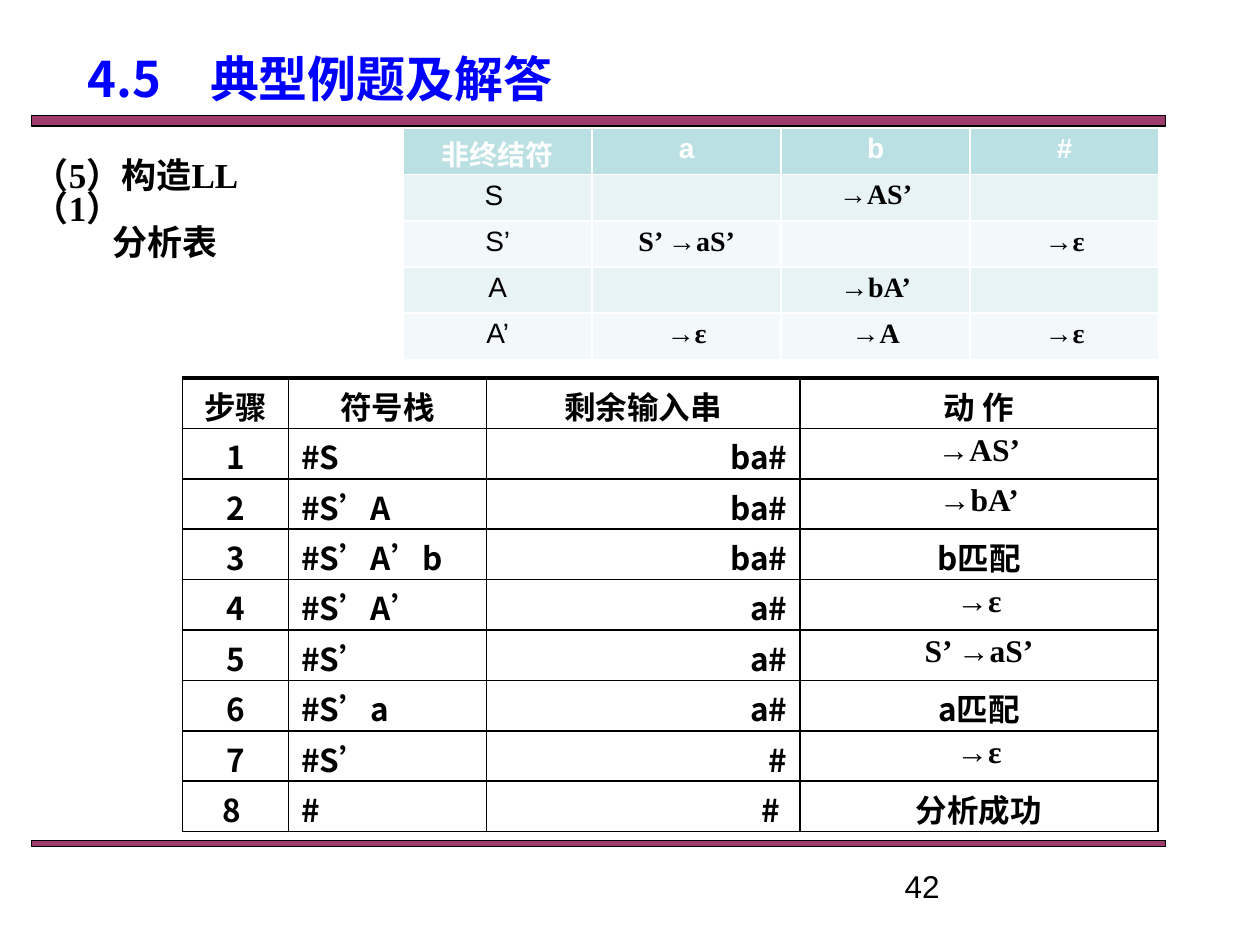
from pptx import Presentation
from pptx.dml.color import RGBColor
from pptx.enum.shapes import MSO_SHAPE
from pptx.enum.text import MSO_ANCHOR, PP_ALIGN
from pptx.oxml.ns import qn
from pptx.util import Pt
from lxml.etree import SubElement

SANS, SERIF, CJK = "Arial", "Times New Roman", "Noto Sans CJK SC"
LEFT, CENTER, RIGHT = PP_ALIGN.LEFT, PP_ALIGN.CENTER, PP_ALIGN.RIGHT

TITLE = "4.5\u3000典型例题及解答".replace("\u3000", "　")
HEADING = ["（5）构造LL（1）", "分析表"]
PAGE = "42"
BARS = [(66.2, 5.8), (480.2, 3.6)]
LL_TABLE = [
    ["非终结符", "a", "b", "#"],
    ["S ", "", "→AS’", ""],
    ["S’", "S’ →aS’", "", "→ε"],
    ["A", "", "→bA’", ""],
    ["A’", "→ε", "→A", "→ε"],
]
STEPS = [
    ["步骤", "符号栈", "剩余输入串", "动 作"],
    ["1", "#S", "ba#", "→AS’"],
    ["2", "#S’A", "ba#", "→bA’"],
    ["3", "#S’A’b", "ba#", "b匹配"],
    ["4", "#S’A’", "a#", "→ε"],
    ["5", "#S’", "a#", "S’ →aS’"],
    ["6", "#S’a", "a#", "a匹配"],
    ["7", "#S’", "#", "→ε"],
    ["8 ", "#", "# ", "分析成功"],
]


def rgb(color):
    return RGBColor.from_string(color)


def style(p, size, name, color="000000", bold=True, align=LEFT):
    p.alignment = align
    f = p.font
    f.size, f.name, f.bold = Pt(size), name, bold
    f.color.rgb = rgb(color)
    SubElement(f._element, qn("a:ea"), typeface=CJK)


def add_text(s, lines, box, size, name, bold):
    tf = s.shapes.add_textbox(*map(Pt, box)).text_frame
    tf.word_wrap = True
    tf.text = "\n".join(lines)
    for p in tf.paragraphs:
        style(p, size, name, bold=bold)
    return tf


def add_bar(s, top, height):
    bar = s.shapes.add_shape(MSO_SHAPE.RECTANGLE, Pt(18), Pt(top), Pt(648), Pt(height))
    bar.shadow.inherit = False
    bar.fill.solid()
    bar.fill.fore_color.rgb = rgb("993366")
    color = bar._element.spPr.find(qn("a:solidFill"))[0]
    SubElement(color, qn("a:alpha"), val="96000")
    bar.line.color.rgb = rgb("000000")
    bar.line.width = Pt(0.75)


def add_table(s, rows, left, top, widths, height, margin):
    table = s.shapes.add_table(len(rows), len(widths), Pt(left), Pt(top),
                               Pt(sum(widths)), Pt(height * len(rows))).table
    for col, width in zip(table.columns, widths):
        col.width = Pt(width)
    for i, row in enumerate(rows):
        table.rows[i].height = Pt(height)
        for j, text in enumerate(row):
            cell = table.cell(i, j)
            cell.text = text
            cell.margin_top, cell.margin_bottom = Pt(margin), 0
            yield i, j, cell, cell.text_frame.paragraphs[0]


def set_borders(cell, top_width):
    tcPr = cell._tc.get_or_add_tcPr()
    for n, side in enumerate(["lnL", "lnR", "lnT", "lnB"]):
        width = top_width if side == "lnT" else 1
        ln = SubElement(tcPr, qn("a:" + side), w=str(Pt(width)))
        SubElement(SubElement(ln, qn("a:solidFill")), qn("a:srgbClr"), val="000000")
        tcPr.insert(n, ln)


prs = Presentation()
prs.slide_width, prs.slide_height = Pt(720), Pt(540)
s = prs.slides.add_slide(prs.slide_layouts[5])

for top, height in BARS:
    add_bar(s, top, height)

add_text(s, [PAGE], (509.8, 491.8, 167.8, 19.4), 18, SANS, False)
tf = add_text(s, HEADING, (12.2, 88.6, 198, 55.4), 20, SERIF, True)
tf.margin_right = Pt(36)
for p in tf.paragraphs:
    p.line_spacing = 0.8
tf.paragraphs[1]._p.get_or_add_pPr().set("marL", str(Pt(45)))

for i, j, cell, p in add_table(s, LL_TABLE, 230.4, 73.4, [108] * 4, 26.4, 3):
    cell.fill.solid()
    cell.fill.fore_color.rgb = rgb("BBE0E3" if i == 0 else "E7F3F4" if i % 2 else "F3F9FA")
    style(p, 16, SERIF if i and j else SANS, "000000" if i else "FFFFFF",
          i == 0 or j > 0, CENTER)

STEP_ALIGN = [CENTER, LEFT, RIGHT, CENTER]
for i, j, cell, p in add_table(s, STEPS, 104.4, 216, [60.5, 113, 179.3, 204.5], 28.8, 2.7):
    cell.fill.background()
    set_borders(cell, 1 if i else 2.25)
    style(p, 18, SERIF if "→" in cell.text else CJK, align=STEP_ALIGN[j] if i else CENTER)

title = s.shapes.title
title.left, title.top, title.width, title.height = map(Pt, (-48.2, 23.8, 462.2, 41.8))
title.text_frame.text = TITLE
title.text_frame.vertical_anchor = MSO_ANCHOR.MIDDLE
style(title.text_frame.paragraphs[0], 28, CJK, "0000FF", align=CENTER)

prs.save("out.pptx")
